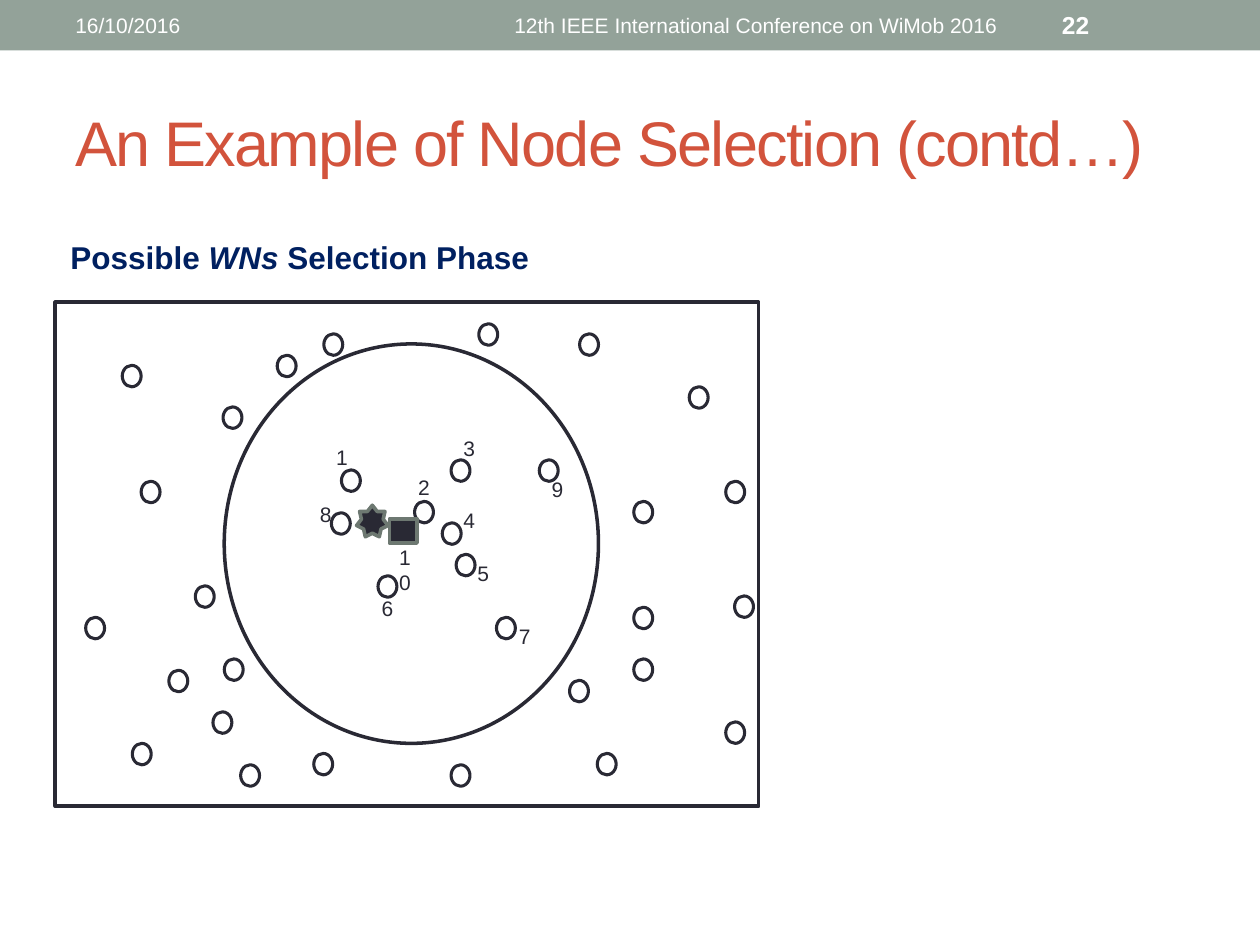
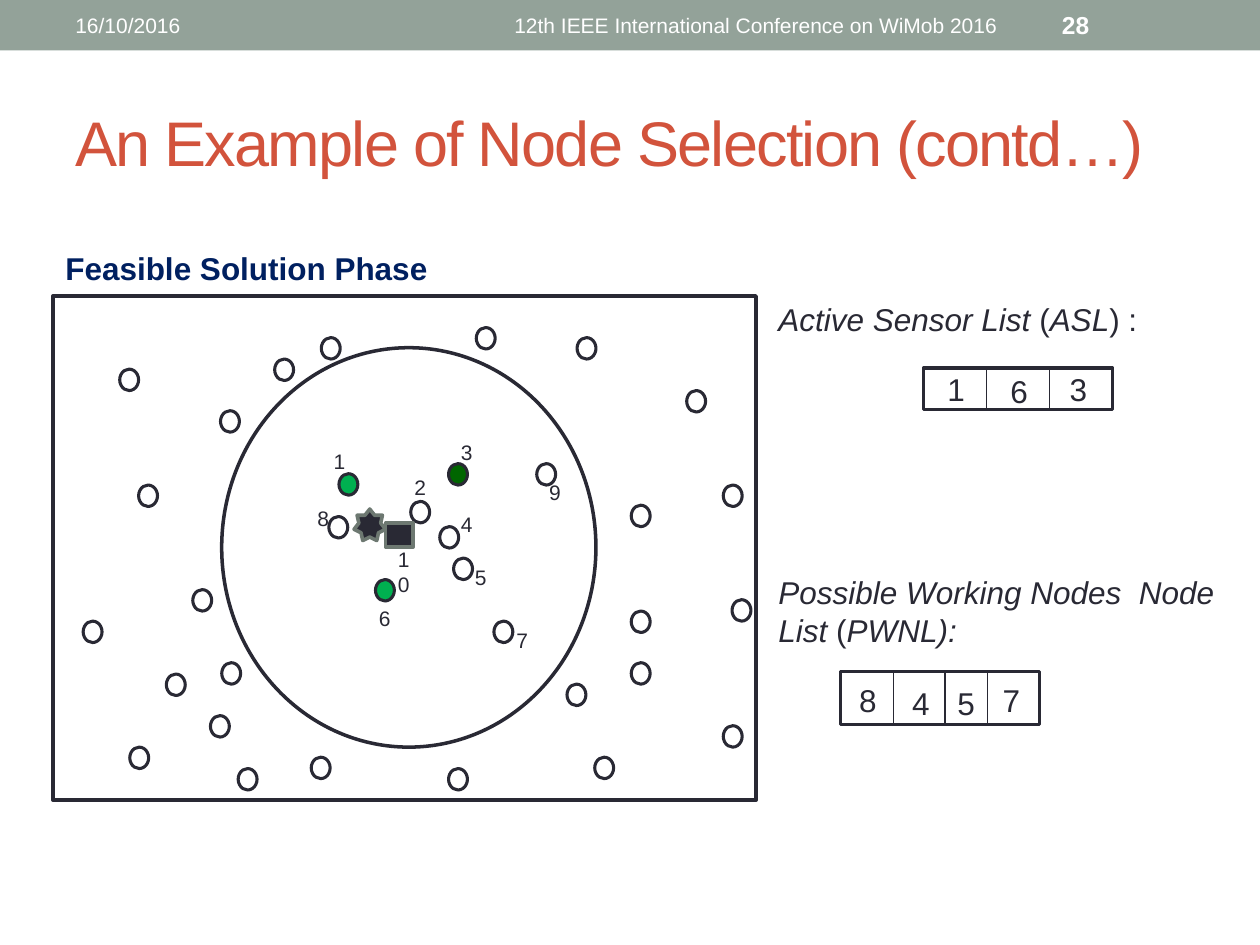
from dataclasses import dataclass, field
from typing import NamedTuple, Optional

import lxml.etree
import pptx
import pptx.dml.color
import pptx.enum.shapes
import pptx.enum.text
import pptx.oxml.ns
import pptx.util

EMU_PER_PX = 9144  # 100 px to the inch
SHAPE = pptx.enum.shapes.MSO_SHAPE
ALIGN = pptx.enum.text.PP_ALIGN
ANCHOR = pptx.enum.text.MSO_ANCHOR


@dataclass(frozen=True)
class Theme:
    font: str = "Arial"
    ink: str = "292934"
    band: str = "93A299"
    band_text: str = "FFFFFF"
    title: str = "D2533C"
    heading: str = "002060"
    marker_edge: str = "6D7871"
    selected: str = "00B050"
    newest: str = "006600"
    title_size: int = 36
    body_size: int = 18
    page_number_size: int = 14
    small_size: int = 12
    frame_line: float = 2.25
    marker_line: float = 2.08
    range_line: float = 2
    node_line: float = 1.75
    divider_line: float = 0.75


THEME = Theme()


class Box(NamedTuple):
    left: int
    top: int
    width: int
    height: int

    def moved(self, dx: int, dy: int) -> "Box":
        return Box(self.left + dx, self.top + dy, self.width, self.height)


class Span(NamedTuple):
    text: str
    italic: bool = False


class Style(NamedTuple):
    size: int
    color: str
    bold: bool = False
    align: ALIGN = ALIGN.LEFT
    anchor: ANCHOR = ANCHOR.TOP
    tracking: Optional[int] = None


class NumberedNode(NamedTuple):
    left: int
    top: int
    label_left: int
    label_top: int


class Entry(NamedTuple):
    text: str
    left: int
    top: int


@dataclass(frozen=True)
class NodeList:
    """A captioned strip of node numbers; dividers are offsets from its left edge."""
    caption: tuple[Span, ...]
    caption_box: Box
    strip: Box
    dividers: tuple[int, ...]
    entries: tuple[Entry, ...]


@dataclass(frozen=True)
class Phase:
    """One step of the selection: its heading and how the field differs from the base."""
    page_number: str
    heading: tuple[Span, ...]
    heading_box: Box
    frame: Box
    shift: tuple[int, int] = (0, 0)
    fills: dict[int, str] = field(default_factory=dict)
    adjusted: dict[int, NumberedNode] = field(default_factory=dict)
    lists: tuple[NodeList, ...] = ()


BODY = Style(THEME.body_size, THEME.ink)
SMALL = Style(THEME.small_size, THEME.ink)
HEADING = Style(THEME.body_size, THEME.heading, bold=True)
TITLE = Style(THEME.title_size, THEME.title, anchor=ANCHOR.MIDDLE, tracking=-100)
DATE = Style(THEME.small_size, THEME.band_text, anchor=ANCHOR.MIDDLE)
CONFERENCE = DATE._replace(align=ALIGN.CENTER)
PAGE_NUMBER = DATE._replace(size=THEME.page_number_size, bold=True)

NODE_SIZE = (15, 17)
RANGE = Box(178, 273, 297, 317)
TARGET = Box(283, 401, 25, 25)
SINK = 10
SINK_SIZE = (22, 19)

OUTER_NODES = (
    (257, 265), (68, 490), (460, 265), (155, 465), (97, 290), (177, 323),
    (112, 382), (105, 590), (503, 482), (547, 307), (576, 382), (576, 573),
    (583, 473), (191, 607), (178, 523), (134, 532), (249, 598), (169, 565),
    (358, 607), (380, 257), (452, 540), (503, 523), (220, 282), (503, 398),
    (474, 598),
)

NUMBERED_NODES = {
    1: NumberedNode(271, 373, 257, 348),
    2: NumberedNode(329, 398, 322, 372),
    3: NumberedNode(358, 365, 358, 341),
    4: NumberedNode(351, 415, 358, 398),
    5: NumberedNode(362, 440, 369, 440),
    6: NumberedNode(300, 457, 293, 468),
    7: NumberedNode(394, 490, 402, 490),
    8: NumberedNode(263, 407, 244, 393),
    9: NumberedNode(428, 365, 428, 373),
    SINK: NumberedNode(309, 412, 307, 427),
}

ACTIVE_LIST = NodeList(
    caption=(Span("Active Sensor List ", True), Span("("), Span("ASL", True), Span(") :")),
    caption_box=Box(608, 233, 367, 40),
    strip=Box(733, 292, 150, 33),
    dividers=(50, 100),
    entries=(Entry("1", 742, 289), Entry("6", 792, 290), Entry("3", 839, 289)),
)
POSSIBLE_LIST = NodeList(
    caption=(Span("Possible Working Nodes  Node List ", True), Span("("),
             Span("PWNL):", True)),
    caption_box=Box(608, 450, 367, 71),
    strip=Box(667, 533, 158, 42),
    dividers=(42, 83, 117),
    entries=(Entry("8", 672, 536), Entry("4", 714, 538),
             Entry("5", 750, 538), Entry("7", 786, 536)),
)

PHASES = (
    Phase(
        page_number="22",
        heading=(Span("Possible "), Span("WNs ", True), Span("Selection Phase")),
        heading_box=Box(46, 184, 409, 40),
        frame=Box(44, 240, 558, 400),
    ),
    Phase(
        page_number="28",
        heading=(Span("Feasible Solution Phase"),),
        heading_box=Box(42, 193, 311, 40),
        frame=Box(42, 235, 558, 400),
        shift=(-2, 3),
        fills={1: THEME.selected, 6: THEME.selected, 3: THEME.newest},
        adjusted={
            2: NumberedNode(328, 395, 321, 369),
            6: NumberedNode(300, 457, 293, 473),
            SINK: NumberedNode(308, 412, 308, 426),
        },
        lists=(ACTIVE_LIST, POSSIBLE_LIST),
    ),
)


def px(length: int) -> pptx.util.Emu:
    return pptx.util.Emu(length * EMU_PER_PX)


def rgb(color: str) -> pptx.dml.color.RGBColor:
    return pptx.dml.color.RGBColor.from_string(color)


def add_shape(page, kind: SHAPE, box: Box, fill: Optional[str] = None,
              line: Optional[str] = None, line_width: float = 1) -> None:
    shape = page.shapes.add_shape(kind, *map(px, box))
    shape.shadow.inherit = False
    if fill:
        shape.fill.solid()
        shape.fill.fore_color.rgb = rgb(fill)
    else:
        shape.fill.background()
    if line:
        shape.line.color.rgb = rgb(line)
        shape.line.width = pptx.util.Pt(line_width)
    else:
        shape.line.fill.background()


def add_text(page, box: Box, spans: tuple[Span, ...], style: Style) -> None:
    frame = page.shapes.add_textbox(*map(px, box)).text_frame
    frame.word_wrap = True
    frame.vertical_anchor = style.anchor
    para = frame.paragraphs[0]
    para.alignment = style.align
    for span in spans:
        run = para.add_run()
        run.text = span.text
        run.font.name = THEME.font
        run.font.size = pptx.util.Pt(style.size)
        run.font.bold = style.bold
        run.font.italic = span.italic
        run.font.color.rgb = rgb(style.color)
        if style.tracking is not None:
            run._r.get_or_add_rPr().set("spc", str(style.tracking))


def add_divider(page, left: int, top: int, height: int) -> None:
    divider = page.shapes.add_connector(
        pptx.enum.shapes.MSO_CONNECTOR.STRAIGHT,
        px(left), px(top), px(left), px(top + height))
    divider.line.color.rgb = rgb(THEME.ink)
    divider.line.width = pptx.util.Pt(THEME.divider_line)
    lxml.etree.SubElement(divider._element.spPr, pptx.oxml.ns.qn("a:effectLst"))


def add_page_furniture(page, page_number: str) -> None:
    """Draw the top band with its three texts, and the slide title."""
    add_shape(page, SHAPE.RECTANGLE, Box(0, 0, 1000, 40), fill=THEME.band)
    for box, text, style in (
        (Box(50, 58, 900, 108), "An Example of Node Selection (contd…)", TITLE),
        (Box(375, 2, 450, 36), "12th IEEE International Conference on WiMob 2016", CONFERENCE),
        (Box(833, 2, 117, 36), page_number, PAGE_NUMBER),
        (Box(50, 2, 317, 36), "16/10/2016", DATE),
    ):
        add_text(page, box, (Span(text),), style)


def add_node(page, box: Box, fill: Optional[str] = None) -> None:
    add_shape(page, SHAPE.OVAL, box, fill, THEME.ink, THEME.node_line)


def add_marker(page, kind: SHAPE, box: Box) -> None:
    add_shape(page, kind, box, THEME.ink, THEME.marker_edge, THEME.marker_line)


def add_field(page, phase: Phase) -> None:
    """Draw the frame, the sensing range, all nodes, the target and the sink."""
    add_shape(page, SHAPE.RECTANGLE, phase.frame,
              line=THEME.ink, line_width=THEME.frame_line)
    for left, top in OUTER_NODES:
        add_node(page, Box(left, top, *NODE_SIZE).moved(*phase.shift))
    add_shape(page, SHAPE.OVAL, RANGE.moved(*phase.shift),
              line=THEME.ink, line_width=THEME.range_line)
    add_marker(page, SHAPE.STAR_7_POINT, TARGET.moved(*phase.shift))
    for number, node in (NUMBERED_NODES | phase.adjusted).items():
        if number == SINK:
            add_marker(page, SHAPE.RECTANGLE,
                       Box(node.left, node.top, *SINK_SIZE).moved(*phase.shift))
        else:
            add_node(page, Box(node.left, node.top, *NODE_SIZE).moved(*phase.shift),
                     phase.fills.get(number))
        label_width = 34 if number == SINK else 26
        label = Box(node.label_left, node.label_top, label_width, 30)
        add_text(page, label.moved(*phase.shift), (Span(str(number)),), SMALL)


def add_node_list(page, node_list: NodeList) -> None:
    strip = node_list.strip
    add_text(page, node_list.caption_box, node_list.caption, BODY)
    add_shape(page, SHAPE.RECTANGLE, strip,
              line=THEME.ink, line_width=THEME.marker_line)
    for offset in node_list.dividers:
        add_divider(page, strip.left + offset, strip.top, strip.height)
    for entry in node_list.entries:
        add_text(page, Box(entry.left, entry.top, 34, 40), (Span(entry.text),), BODY)


def main() -> None:
    deck = pptx.Presentation()
    deck.slide_width, deck.slide_height = px(1000), px(750)
    for phase in PHASES:
        page = deck.slides.add_slide(deck.slide_layouts[6])
        add_page_furniture(page, phase.page_number)
        add_text(page, phase.heading_box, phase.heading, HEADING)
        add_field(page, phase)
        for node_list in phase.lists:
            add_node_list(page, node_list)
    deck.save("out.pptx")


if __name__ == "__main__":
    main()
